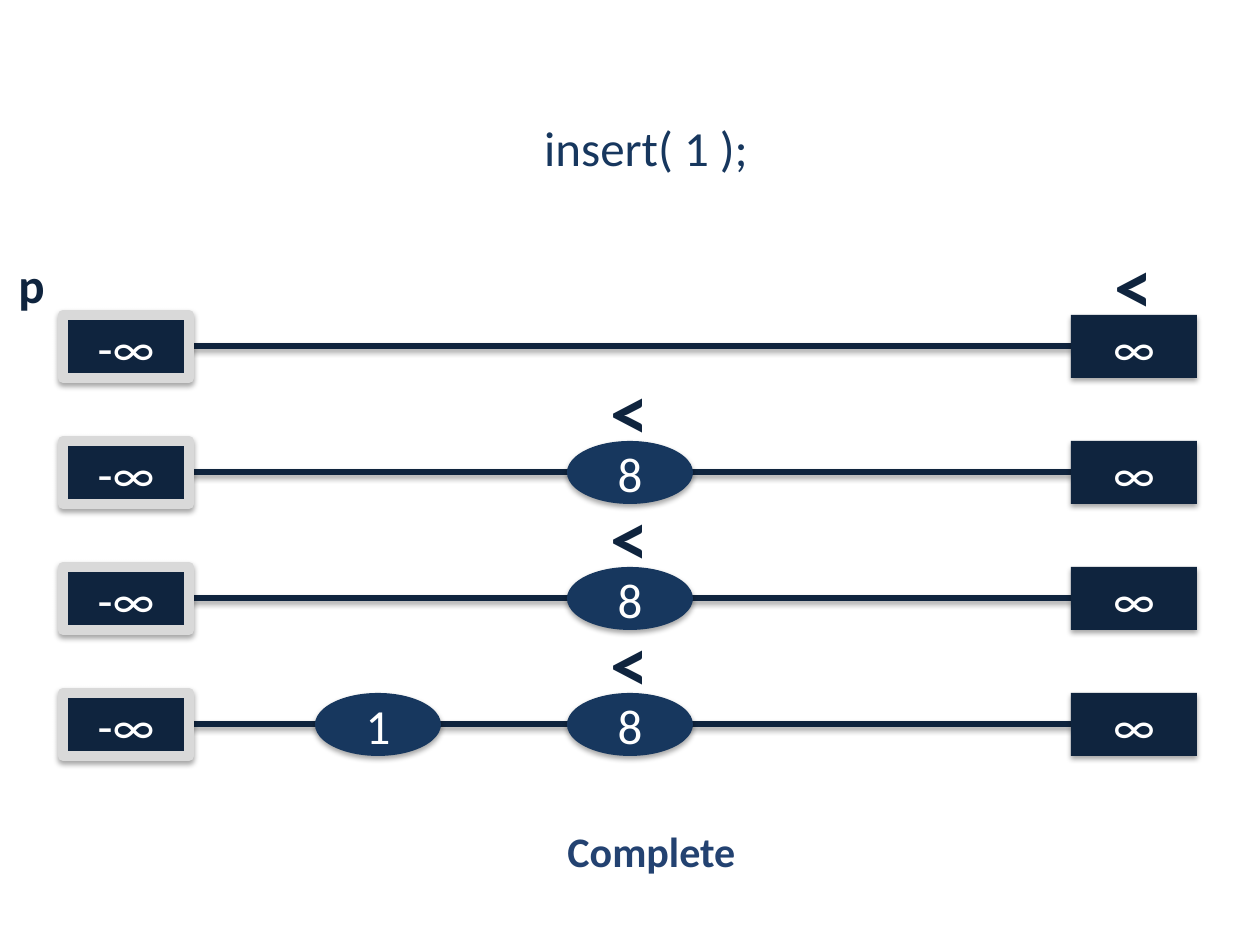
from dataclasses import dataclass

from lxml import etree
from pptx import Presentation
from pptx import util as u
from pptx.dml.color import RGBColor
from pptx.enum import shapes, text
from pptx.oxml import ns

EMU_PER_PX = 914400 / 126
COLORS = {
    "navy": "0F243E",
    "blue": "17375E",
    "status": "234271",
    "visited": "D9D9D9",
    "white": "FFFFFF",
    "shadow": "000000",
}
NODE_W, NODE_H = 126, 63
HEAD_X, ONE_X, EIGHT_X, TAIL_X = 63, 315, 567, 1071
FIRST_Y, ROW_STEP = 315, 126


@dataclass(frozen=True)
class Node:
    x: int
    label: str
    kind: shapes.MSO_SHAPE = shapes.MSO_SHAPE.OVAL
    fill: str = "blue"
    outline: str = ""


@dataclass(frozen=True)
class Level:
    inner: tuple[Node, ...]
    compare_x: int


HEAD = Node(HEAD_X, "-∞", shapes.MSO_SHAPE.RECTANGLE, "navy", "visited")
TAIL = Node(TAIL_X, "∞", shapes.MSO_SHAPE.RECTANGLE, "navy")
ONE = Node(ONE_X, "1")
EIGHT = Node(EIGHT_X, "8")
LEVELS = (
    Level((), TAIL_X),
    Level((EIGHT,), EIGHT_X),
    Level((EIGHT,), EIGHT_X),
    Level((ONE, EIGHT), EIGHT_X),
)


def px(n: int) -> u.Emu:
    return u.Emu(round(n * EMU_PER_PX))


def rgb(name: str) -> RGBColor:
    return RGBColor.from_string(COLORS[name])


def write(sp, content: str, *, size: int = 28, color: str = "white",
          bold: bool = False, anchor=text.MSO_ANCHOR.MIDDLE) -> None:
    tf = sp.text_frame
    tf.word_wrap = True
    tf.vertical_anchor = anchor
    p = tf.paragraphs[0]
    p.alignment = text.PP_ALIGN.CENTER
    r = p.add_run()
    r.text = content
    r.font.name = "Calibri"
    r.font.size = u.Pt(size)
    r.font.bold = bold
    r.font.color.rgb = rgb(color)


def add_shadow(effects) -> None:
    shadow = etree.SubElement(effects, ns.qn("a:outerShdw"), blurRad="40000",
                              dist="23000", dir="5400000", rotWithShape="0")
    color = etree.SubElement(shadow, ns.qn("a:srgbClr"), val=COLORS["shadow"])
    etree.SubElement(color, ns.qn("a:alpha"), val="35000")


def add_label(s, x: int, y: int, w: int, h: int, content: str, **fmt) -> None:
    write(s.shapes.add_textbox(px(x), px(y), px(w), px(h)), content, **fmt)


def add_link(s, y: int) -> None:
    line = s.shapes.add_connector(shapes.MSO_CONNECTOR.STRAIGHT,
                                  px(TAIL_X), px(y), px(HEAD_X + NODE_W), px(y))
    line.line.color.rgb = rgb("navy")
    line.line.width = u.Pt(3)
    props = line._element.spPr
    add_shadow(etree.SubElement(props, ns.qn("a:effectLst")))


def add_node(s, node: Node, y: int) -> None:
    sp = s.shapes.add_shape(node.kind, px(node.x), px(y), px(NODE_W), px(NODE_H))
    sp.fill.solid()
    sp.fill.fore_color.rgb = rgb(node.fill)
    if node.outline:
        sp.line.color.rgb = rgb(node.outline)
        sp.line.width = u.Pt(6)
    else:
        sp.line.fill.background()
    sp.shadow.inherit = False
    add_shadow(sp._element.spPr.find(ns.qn("a:effectLst")))
    write(sp, node.label)


def add_level(s, level: Level, y: int) -> None:
    add_link(s, y + NODE_H // 2)
    for node in (HEAD, *level.inner, TAIL):
        add_node(s, node, y)
    add_label(s, level.compare_x, y - NODE_H, NODE_W, NODE_H, "<",
              size=44, color="navy", bold=True)


def main() -> None:
    prs = Presentation()
    prs.slide_width, prs.slide_height = px(1260), px(945)
    s = prs.slides.add_slide(prs.slide_layouts[5])
    title = s.shapes.title
    title.left, title.top, title.width, title.height = map(px, (373, 111, 546, 72))
    write(title, "insert( 1 );", color="blue", anchor=text.MSO_ANCHOR.TOP)
    for i, level in enumerate(LEVELS):
        add_level(s, level, FIRST_Y + i * ROW_STEP)
    add_label(s, 0, FIRST_Y - NODE_H, 63, NODE_H, "p", color="navy", bold=True)
    add_label(s, 368, 756, 567, 189, "Complete", size=24, color="status", bold=True)
    prs.save("out.pptx")


if __name__ == "__main__":
    main()
